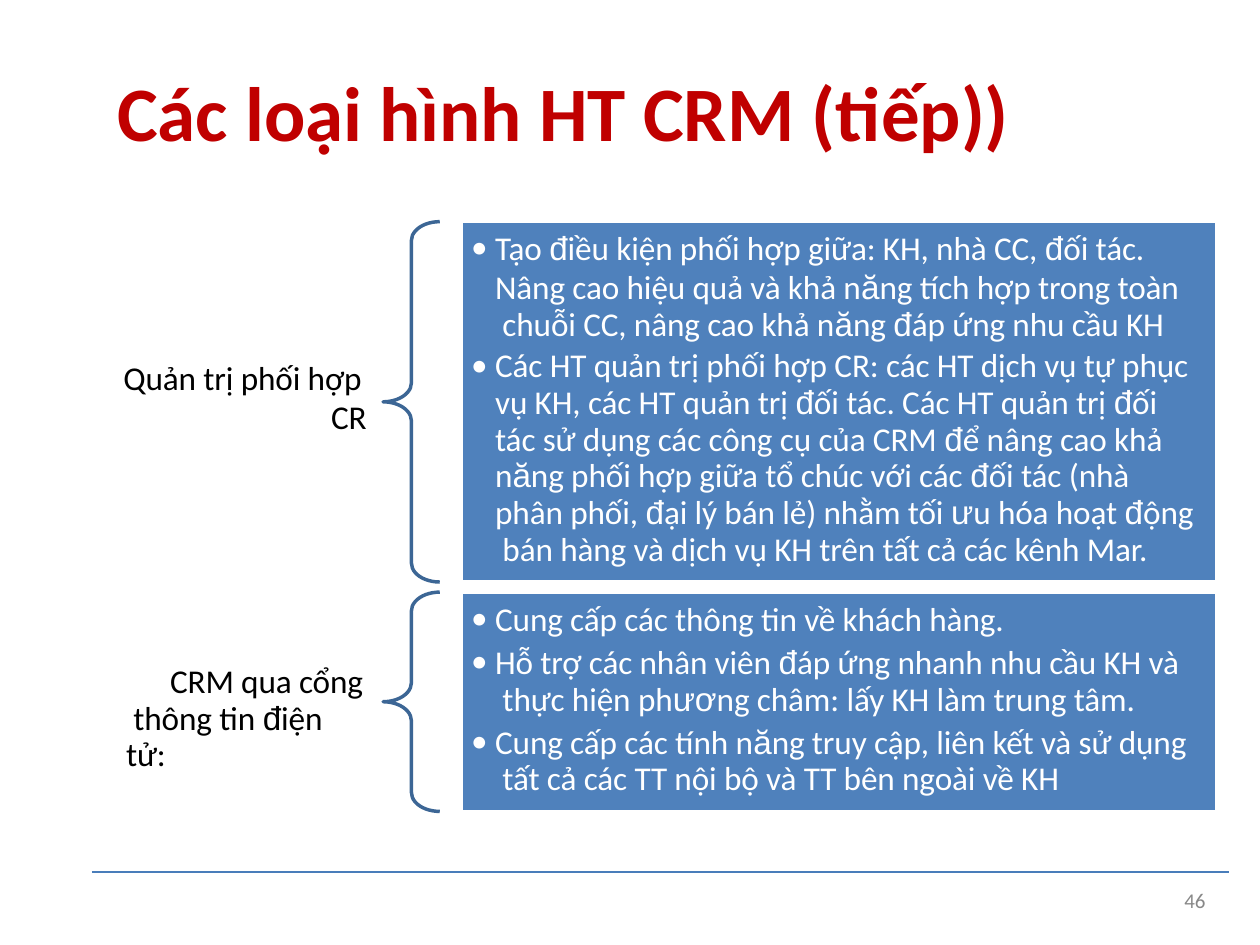
from dataclasses import dataclass
from itertools import groupby

from lxml.etree import SubElement
from pptx import Presentation
from pptx.dml.color import RGBColor
from pptx.enum.shapes import MSO_CONNECTOR, MSO_SHAPE
from pptx.enum.text import MSO_ANCHOR, PP_ALIGN
from pptx.oxml.ns import qn
from pptx.util import Inches, Pt

COLORS = {
    "title": "C00000",
    "label": "000000",
    "panel": "4F81BC",
    "panel_text": "FFFFFF",
    "brace": "3C6695",
    "rule": "497DBA",
    "page": "888888",
}
ARIAL_LETTERS = "đăươ"
BODY_SIZE = 19
BRACE_LEFT, BRACE_WIDTH, BRACE_CURVE = 3.04, 0.45, 0.15
PANEL_LEFT, PANEL_WIDTH = 3.66, 6.0


@dataclass
class Line:
    text: str
    margin: float = 0.01
    indent: float = 0
    spacing: float | None = 20.9
    before: float = 0
    bullet: bool = False
    align: PP_ALIGN = PP_ALIGN.LEFT


@dataclass
class Box:
    left: float
    top: float
    width: float
    height: float
    inset: float


@dataclass
class Topic:
    label_box: Box
    label: list[Line]
    top: float
    height: float
    inset: float
    details: list[Line]


def rgb(name: str) -> RGBColor:
    return RGBColor.from_string(COLORS[name])


def detail(text: str, before: float, bullet: bool = True, spacing: float | None = 20.9) -> Line:
    return Line(text, 0.27, -0.19 if bullet else 0, spacing, before, bullet)


def add_runs(paragraph, text: str, size: float, color: str, bold: bool) -> None:
    for is_arial, letters in groupby(text, lambda letter: letter in ARIAL_LETTERS):
        run = paragraph.add_run()
        run.text = "".join(letters)
        run.font.name = "Arial" if is_arial else "Calibri"
        run.font.size = Pt(size)
        run.font.bold = bold
        run.font.color.rgb = rgb(color)
        run._r.get_or_add_rPr().set("spc", "-6")


def write(shape, lines: list[Line], size: float, color: str, inset: float, bold: bool = False) -> None:
    frame = shape.text_frame
    frame.word_wrap = True
    frame.vertical_anchor = MSO_ANCHOR.TOP
    frame.margin_left = frame.margin_right = frame.margin_bottom = 0
    frame.margin_top = Inches(inset)
    for index, line in enumerate(lines):
        paragraph = frame.add_paragraph() if index else frame.paragraphs[0]
        paragraph.alignment = line.align
        paragraph.space_before = Pt(line.before)
        if line.spacing:
            paragraph.line_spacing = Pt(line.spacing) if line.spacing > 3 else line.spacing
        properties = paragraph._p.get_or_add_pPr()
        properties.set("marL", str(Inches(line.margin)))
        properties.set("indent", str(Inches(line.indent)))
        if line.bullet:
            SubElement(properties, qn("a:buFont")).set("typeface", "Calibri")
            SubElement(properties, qn("a:buChar")).set("char", "•")
        for row_index, row in enumerate(line.text.split("\n")):
            if row_index:
                paragraph.add_line_break()
            add_runs(paragraph, row, size, color, bold)


def add_text(slide, box: Box, lines: list[Line], size: float, color: str, bold: bool = False) -> None:
    text_box = slide.shapes.add_textbox(
        Inches(box.left), Inches(box.top), Inches(box.width), Inches(box.height)
    )
    write(text_box, lines, size, color, box.inset, bold)


def add_topic(slide, topic: Topic) -> None:
    add_text(slide, topic.label_box, topic.label, BODY_SIZE, "label")

    brace = slide.shapes.add_shape(
        MSO_SHAPE.LEFT_BRACE, Inches(BRACE_LEFT), Inches(topic.top),
        Inches(BRACE_WIDTH), Inches(topic.height),
    )
    brace.adjustments[0] = BRACE_CURVE / BRACE_WIDTH
    brace.shadow.inherit = False
    brace.fill.background()
    brace.line.color.rgb = rgb("brace")
    brace.line.width = Pt(1.98)

    panel = slide.shapes.add_shape(
        MSO_SHAPE.RECTANGLE, Inches(PANEL_LEFT), Inches(topic.top),
        Inches(PANEL_WIDTH), Inches(topic.height),
    )
    panel.shadow.inherit = False
    panel.fill.solid()
    panel.fill.fore_color.rgb = rgb("panel")
    panel.line.color.rgb = rgb("panel_text")
    panel.line.width = Pt(1.98)
    write(panel, topic.details, BODY_SIZE, "panel_text", topic.inset)


def add_footer_rule(slide) -> None:
    rule = slide.shapes.add_connector(
        MSO_CONNECTOR.STRAIGHT, Inches(0.73), Inches(6.92), Inches(9.75), Inches(6.92)
    )
    rule.line.color.rgb = rgb("rule")
    rule.line.width = Pt(0.78)
    SubElement(rule._element.spPr, qn("a:effectLst"))


TOPICS = [
    Topic(
        Box(0.97, 2.84, 1.94, 0.64, 0.01),
        [
            Line("Quản trị phối hợp", spacing=21.9, before=1),
            Line("CR", spacing=21.9, align=PP_ALIGN.RIGHT),
        ],
        1.76, 2.86, 0.06,
        [
            detail("Tạo điều kiện phối hợp giữa: KH, nhà CC, đối tác.", 4.2, spacing=21.9),
            detail(
                "Nâng cao hiệu quả và khả năng tích hợp trong toàn\n"
                " chuỗi CC, nâng cao khả năng đáp ứng nhu cầu KH",
                1.3, bullet=False,
            ),
            detail(
                "Các HT quản trị phối hợp CR: các HT dịch vụ tự phục\n"
                "vụ KH, các HT quản trị đối tác. Các HT quản trị đối\n"
                "tác sử dụng các công cụ của CRM để nâng cao khả\n"
                "năng phối hợp giữa tổ chúc với các đối tác (nhà\n"
                "phân phối, đại lý bán lẻ) nhằm tối ưu hóa hoạt động\n"
                " bán hàng và dịch vụ KH trên tất cả các kênh Mar.",
                3.1, spacing=0.92,
            ),
        ],
    ),
    Topic(
        Box(0.99, 5.22, 1.92, 0.64, 0.05),
        [Line("CRM qua cổng\n thông tin điện\ntử:", indent=0.35, before=3.3)],
        4.7, 1.74, 0.05,
        [
            detail("Cung cấp các thông tin về khách hàng.", 3.6, spacing=None),
            detail(
                "Hỗ trợ các nhân viên đáp ứng nhanh nhu cầu KH và\n"
                " thực hiện phương châm: lấy KH làm trung tâm.",
                3.9,
            ),
            detail(
                "Cung cấp các tính năng truy cập, liên kết và sử dụng\n"
                " tất cả các TT nội bộ và TT bên ngoài về KH",
                3.5,
            ),
        ],
    ),
]


def main() -> None:
    presentation = Presentation()
    presentation.slide_width = Inches(10)
    presentation.slide_height = Inches(7.5)
    slide = presentation.slides.add_slide(presentation.slide_layouts[6])

    add_footer_rule(slide)
    title = Line("Các loại hình HT CRM (tiếp))", spacing=None, before=0.9)
    add_text(slide, Box(0.92, 0.5, 7.3, 0.76, 0.01), [title], 44, "title", bold=True)
    for topic in TOPICS:
        add_topic(slide, topic)
    page_number = Line("46", margin=0.04, spacing=12.4)
    add_text(slide, Box(9.36, 7.07, 0.27, 0.19, 0), [page_number], 12, "page")

    presentation.save("out.pptx")


if __name__ == "__main__":
    main()
